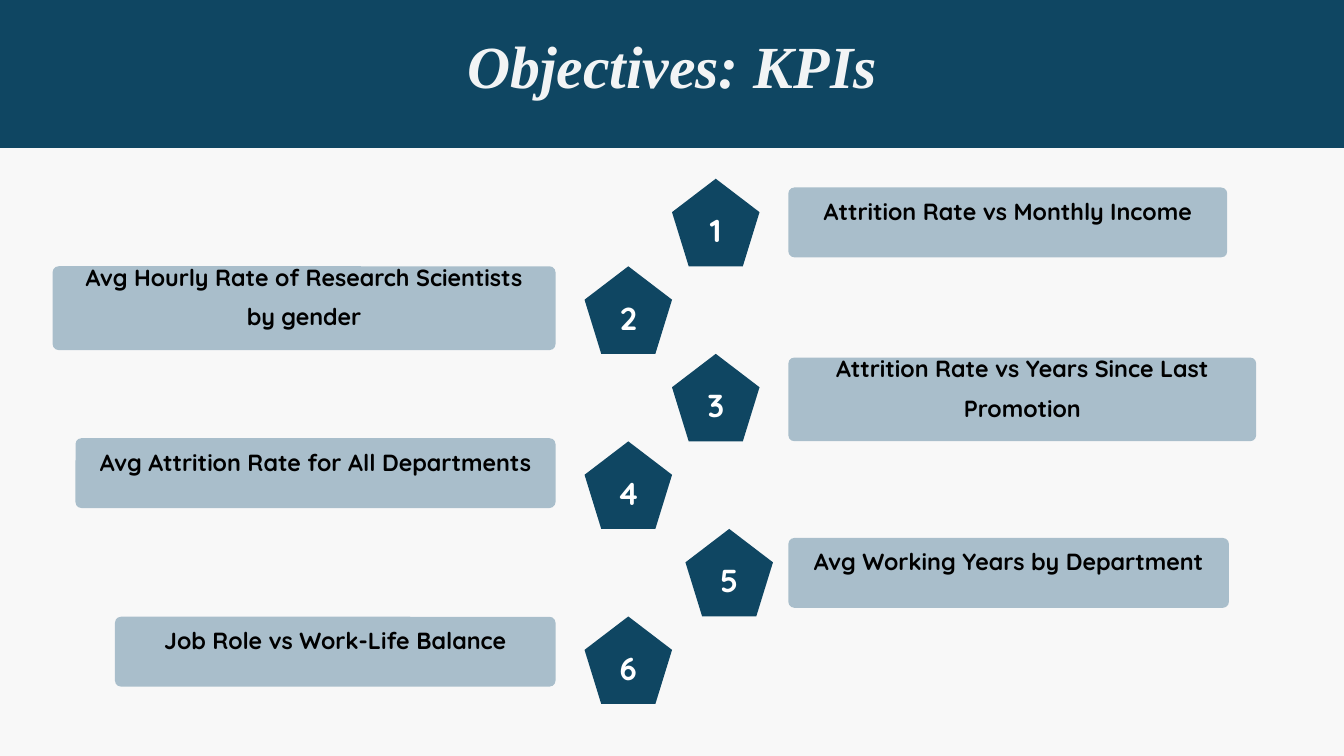
from dataclasses import dataclass

from pptx import Presentation
from pptx.dml.color import RGBColor
from pptx.enum.shapes import MSO_SHAPE as Preset
from pptx.enum.text import MSO_ANCHOR as Anchor, PP_ALIGN as Align
from pptx.shapes.autoshape import Shape
from pptx.slide import Slide
from pptx.util import Pt

NAVY = RGBColor(0x0F, 0x46, 0x62)
MIST = RGBColor(0xA9, 0xBE, 0xCB)
PAPER = RGBColor(0xF8, 0xF8, 0xF8)
PEARL = RGBColor(0xF2, 0xF4, 0xF5)
WHITE = RGBColor(0xFF, 0xFF, 0xFF)
BLACK = RGBColor(0x00, 0x00, 0x00)

SLIDE_WIDTH, SLIDE_HEIGHT = 1440, 810
BADGE_SIZE = 93.8
FIRST_BADGE_TOP = 191.5
LEFT_CARD_EDGE, RIGHT_CARD_EDGE = 595.2, 844.7
CARD_RADIUS = 6.4
LABEL_RISE = 37


@dataclass(frozen=True)
class Box:
    left: float
    top: float
    width: float
    height: float

    def lengths(self) -> tuple[Pt, Pt, Pt, Pt]:
        return Pt(self.left), Pt(self.top), Pt(self.width), Pt(self.height)


@dataclass(frozen=True)
class Lettering:
    font: str
    size: float
    line: float
    color: RGBColor
    italic: bool = False


@dataclass(frozen=True)
class Kpi:
    lines: tuple[str, ...]
    badge_left: float
    card_top: float
    card_width: float
    card_height: float = 74.8


HEADING = Lettering("Times New Roman", 64, 89.6, PEARL, italic=True)
NUMBER = Lettering("Quicksand", 34, 57.8, WHITE)
LABEL = Lettering("Quicksand", 25, 42.5, BLACK)

KPIS = (
    Kpi(("Attrition Rate vs Monthly Income",), 720, 200.9, 470.2),
    Kpi(("Avg Hourly Rate of Research Scientists", "by gender"), 626.3, 285.3, 538.8, 89.8),
    Kpi(("Attrition Rate vs Years Since Last Promotion",), 720, 383.1, 501.2, 89.6),
    Kpi(("Avg Attrition Rate for All Departments",), 626.3, 469.5, 514.3),
    Kpi(("Avg Working Years by Department",), 734.4, 576.4, 472),
    Kpi(("Job Role vs Work-Life Balance",), 626.3, 660.8, 472),
)


def draw_shape(slide: Slide, preset: Preset, box: Box, color: RGBColor) -> Shape:
    shape = slide.shapes.add_shape(preset, *box.lengths())
    shape.shadow.inherit = False
    shape.fill.solid()
    shape.fill.fore_color.rgb = color
    shape.line.fill.background()
    return shape


def write(slide: Slide, box: Box, lines: tuple[str, ...], style: Lettering) -> None:
    frame = slide.shapes.add_textbox(*box.lengths()).text_frame
    frame.word_wrap = True
    frame.vertical_anchor = Anchor.MIDDLE
    frame.margin_left = frame.margin_right = Pt(4)
    frame.margin_top = frame.margin_bottom = Pt(4)
    for index, line in enumerate(lines):
        paragraph = frame.add_paragraph() if index else frame.paragraphs[0]
        paragraph.alignment = Align.CENTER
        paragraph.line_spacing = Pt(style.line)
        run = paragraph.add_run()
        run.text = line
        run.font.name = style.font
        run.font.size = Pt(style.size)
        run.font.bold = True
        run.font.italic = style.italic
        run.font.color.rgb = style.color


def draw_badge(slide: Slide, number: int, left: float) -> None:
    top = FIRST_BADGE_TOP + (number - 1) * BADGE_SIZE
    draw_shape(slide, Preset.REGULAR_PENTAGON, Box(left, top, BADGE_SIZE, BADGE_SIZE), NAVY)
    write(slide, Box(left + 14.5, top + 4.6, 64.8, 83.5), (str(number),), NUMBER)


def draw_card(slide: Slide, number: int, kpi: Kpi) -> None:
    left = RIGHT_CARD_EDGE if number % 2 else LEFT_CARD_EDGE - kpi.card_width
    box = Box(left, kpi.card_top, kpi.card_width, kpi.card_height)
    card = draw_shape(slide, Preset.ROUNDED_RECTANGLE, box, MIST)
    card.adjustments[0] = CARD_RADIUS / kpi.card_height
    label = Box(left, box.top - LABEL_RISE, box.width, box.height + LABEL_RISE)
    write(slide, label, kpi.lines, LABEL)


def main() -> None:
    deck = Presentation()
    deck.slide_width, deck.slide_height = Pt(SLIDE_WIDTH), Pt(SLIDE_HEIGHT)
    slide = deck.slides.add_slide(deck.slide_layouts[6])
    slide.background.fill.solid()
    slide.background.fill.fore_color.rgb = PAPER

    draw_shape(slide, Preset.RECTANGLE, Box(0, 0, SLIDE_WIDTH, 158.6), NAVY)
    write(slide, Box(0, -34, SLIDE_WIDTH, 192.6), ("Objectives: KPIs",), HEADING)
    for number, kpi in enumerate(KPIS, start=1):
        draw_badge(slide, number, kpi.badge_left)
        draw_card(slide, number, kpi)
    deck.save("out.pptx")


if __name__ == "__main__":
    main()
